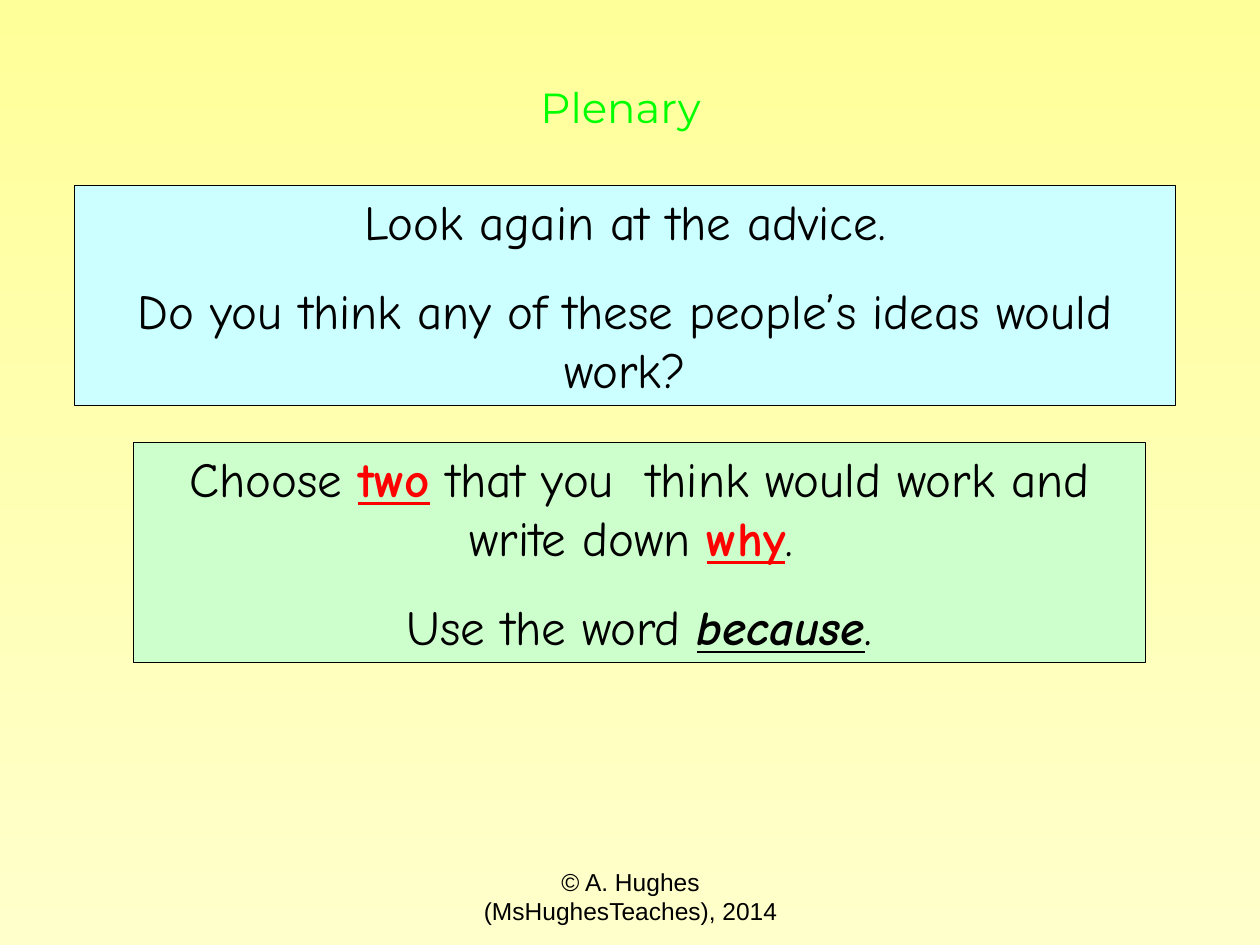
from pptx import Presentation
from pptx.dml.color import RGBColor
from pptx.enum.shapes import MSO_SHAPE
from pptx.enum.text import MSO_ANCHOR, PP_ALIGN
from pptx.util import Inches, Pt

COLORS = {
    "top": "FFFF99", "bottom": "FFFFCC", "title": "00FF00", "black": "000000",
    "red": "FF0000", "advice": "CCFFFF", "task": "CCFFCC",
}


def color(name):
    return RGBColor.from_string(COLORS[name])


def write(shape, paragraphs, font_name, size, wrap=True):
    """Fill a shape with centred paragraphs of (text, colour, style letters) runs."""
    frame = shape.text_frame
    frame.word_wrap = wrap
    frame.vertical_anchor = MSO_ANCHOR.TOP
    for index, runs in enumerate(paragraphs):
        paragraph = frame.add_paragraph() if index else frame.paragraphs[0]
        paragraph.alignment = PP_ALIGN.CENTER
        if index:
            paragraph.space_before = Pt(17.5)
        for text, color_name, style in runs:
            run = paragraph.add_run()
            run.text = text
            run.font.name = font_name
            run.font.size = Pt(size)
            run.font.color.rgb = color(color_name)
            run.font.bold = "b" in style
            run.font.italic = "i" in style
            run.font.underline = "u" in style


presentation = Presentation()
presentation.slide_width = Inches(10)
presentation.slide_height = Inches(7.5)
slide = presentation.slides.add_slide(presentation.slide_layouts[6])

background = slide.background.fill
background.gradient()
background.gradient_angle = 270
for stop, name in zip(background.gradient_stops, ("top", "bottom")):
    stop.color.rgb = color(name)

title = slide.shapes.add_textbox(Inches(3.9), Inches(0.6), Inches(2.05), Inches(0.71))
write(title, [[("Plenary", "title", "")]], "Montserrat", 24, wrap=False)

advice = [
    [("Look again at the advice.", "black", "")],
    [("Do you think any of these people’s ideas would work?", "black", "")],
]
task = [
    [
        ("Choose ", "black", ""),
        ("two", "red", "bu"),
        (" that you  think would work and write down ", "black", ""),
        ("why", "red", "bu"),
        (". ", "black", ""),
    ],
    [("Use the word ", "black", ""), ("because", "black", "biu"), (".", "black", "")],
]
panels = [(0.59, 1.47, 8.74, "advice", advice), (1.06, 3.51, 8.03, "task", task)]
for left, top, width, fill_name, paragraphs in panels:
    panel = slide.shapes.add_shape(
        MSO_SHAPE.RECTANGLE, Inches(left), Inches(top), Inches(width), Inches(1.75))
    panel.shadow.inherit = False
    panel.fill.solid()
    panel.fill.fore_color.rgb = color(fill_name)
    panel.line.color.rgb = color("black")
    panel.line.width = Pt(0.75)
    write(panel, paragraphs, "Comic Neue", 28)

footer = slide.shapes.add_textbox(Inches(3.42), Inches(6.83), Inches(3.17), Inches(0.52))
write(footer, [[("© A. Hughes (MsHughesTeaches), 2014", "black", "")]], "Arial", 14)

presentation.save("out.pptx")
